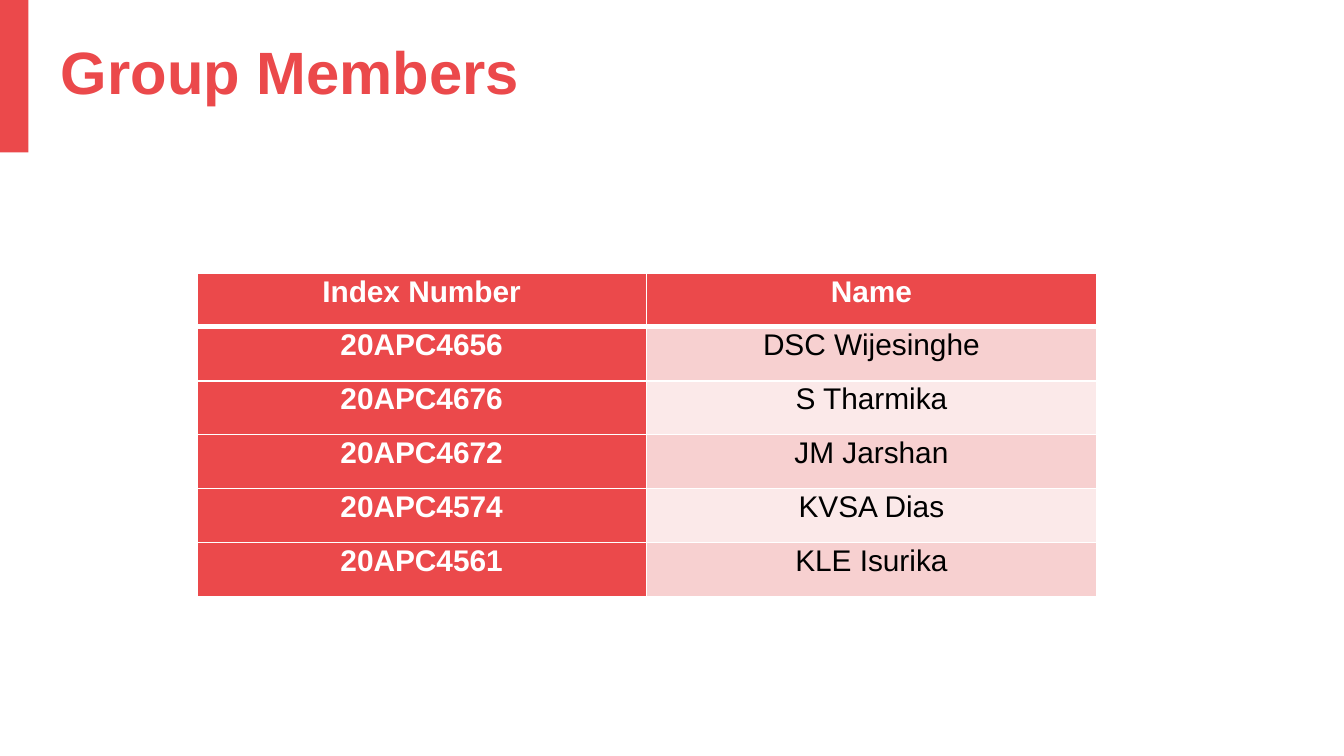
from dataclasses import dataclass

from lxml.etree import SubElement
from pptx import Presentation
from pptx.dml.color import RGBColor as RGB
from pptx.enum.shapes import MSO_SHAPE as Shape
from pptx.enum.text import MSO_ANCHOR as Anchor, PP_ALIGN as Align
from pptx.oxml.ns import qn
from pptx.util import Pt


@dataclass(frozen=True)
class Theme:
    red: str = "EB494B"
    rose: str = "F7D0D0"
    pale: str = "FBE9E9"
    white: str = "FFFFFF"
    black: str = "000000"
    face: str = "Arial"
    title: int = 32
    body: int = 16


theme = Theme()


def style(para, size, color, bold):
    for run in para.runs:
        font = run.font
        font.name, font.size, font.bold = theme.face, Pt(size), bold
        font.color.rgb = RGB.from_string(color)


def edge(cell, widths):
    """Draw white borders, widths in points for left, right, top, bottom."""
    props = cell._tc.get_or_add_tcPr()
    for spot, (side, width) in enumerate(zip("LRTB", widths)):
        line = SubElement(props, qn(f"a:ln{side}"), w=str(Pt(width)))
        fill = SubElement(line, qn("a:solidFill"))
        SubElement(fill, qn("a:srgbClr"), val=theme.white)
        props.insert(spot, line)


deck = Presentation()
deck.slide_width, deck.slide_height = Pt(720), Pt(405)
slide = deck.slides.add_slide(deck.slide_layouts[6])

# Accent bar and title
bar = slide.shapes.add_shape(Shape.RECTANGLE, Pt(0), Pt(0), Pt(15.2), Pt(81.6))
bar.shadow.inherit = False
bar.fill.solid()
bar.fill.fore_color.rgb = RGB.from_string(theme.red)
bar.line.fill.background()

title = slide.shapes.add_textbox(Pt(25.5), Pt(15.3), Pt(566.5), Pt(45))
frame = title.text_frame
frame.word_wrap = True
frame.vertical_anchor = Anchor.MIDDLE
frame.text = "Group Members"
style(frame.paragraphs[0], theme.title, theme.red, True)

# Member table
rows = [
    ("Index Number", "Name"),
    ("20APC4656", "DSC Wijesinghe"),
    ("20APC4676", "S Tharmika"),
    ("20APC4672", "JM Jarshan"),
    ("20APC4574", "KVSA Dias"),
    ("20APC4561", "KLE Isurika"),
]
table = slide.shapes.add_table(
    len(rows), 2, Pt(105.4), Pt(146.2), Pt(482), Pt(173.4)).table
for row in table.rows:
    row.height = Pt(28.9)

for r, row in enumerate(rows):
    for c, text in enumerate(row):
        cell = table.cell(r, c)
        head = r == 0 or c == 0
        shade = theme.red if head else theme.rose if r % 2 else theme.pale
        cell.fill.solid()
        cell.fill.fore_color.rgb = RGB.from_string(shade)
        cell.margin_left = cell.margin_right = Pt(5.4)
        cell.margin_top = cell.margin_bottom = Pt(0)
        edge(cell, (1, 1, 3 if r == 1 else 1, 3 if r == 0 else 1))
        cell.text_frame.text = text
        para = cell.text_frame.paragraphs[0]
        para.alignment = Align.CENTER
        para.line_spacing = 1.07
        style(para, theme.body, theme.white if head else theme.black, head)

deck.save("out.pptx")
